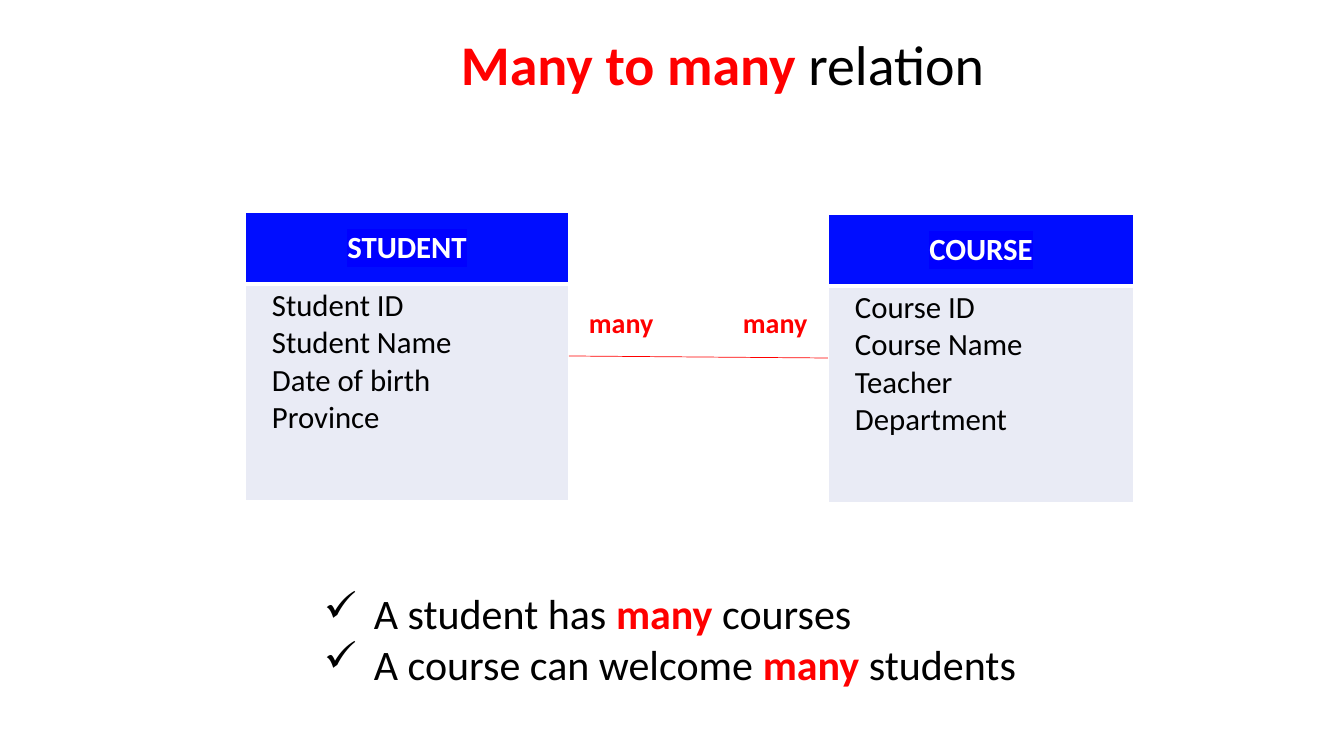
from dataclasses import dataclass

from lxml.etree import SubElement
from pptx import Presentation
from pptx.dml.color import RGBColor
from pptx.enum.shapes import MSO_CONNECTOR
from pptx.enum.text import MSO_ANCHOR, MSO_AUTO_SIZE, PP_ALIGN
from pptx.oxml.ns import qn
from pptx.util import Pt

EMU_PER_PX = 914400 / 100.8


@dataclass(frozen=True)
class Theme:
    font: str = "Calibri"
    black: str = "000000"
    white: str = "FFFFFF"
    red: str = "FF0000"
    header: str = "000DFF"
    highlight: str = "0000FF"
    body: str = "E9EBF5"
    title_size: int = 40
    rule_size: int = 30
    entity_size: int = 22
    label_size: int = 20


THEME = Theme()


def px(length):
    return round(length * EMU_PER_PX)


def add_color(parent, color):
    SubElement(parent, qn("a:srgbClr"), val=color)


# Text: each paragraph is a list of pieces; a piece in a tuple is emphasised
def write_text(frame, paragraphs, *, size, color=THEME.black, bold=False,
               align=PP_ALIGN.LEFT, highlight=None, bullet=None, indent=0):
    for number, pieces in enumerate(paragraphs):
        paragraph = frame.add_paragraph() if number else frame.paragraphs[0]
        paragraph.alignment = align
        if bullet:
            properties = paragraph._p.get_or_add_pPr()
            properties.set("marL", str(px(indent)))
            properties.set("indent", str(-px(indent)))
            SubElement(properties, qn("a:buChar"), char=bullet)
        for piece in pieces:
            emphasised = isinstance(piece, tuple)
            run = paragraph.add_run()
            run.text = piece[0] if emphasised else piece
            font = run.font
            font.size = Pt(size)
            font.bold = bold or emphasised
            font.color.rgb = RGBColor.from_string(THEME.red if emphasised else color)
            if highlight:
                mark = SubElement(run._r.rPr, qn("a:highlight"))
                add_color(mark, highlight)
            font.name = THEME.font


def add_text_box(slide, left, top, width, height, paragraphs, **text_format):
    box = slide.shapes.add_textbox(px(left), px(top), px(width), px(height))
    box.text_frame.word_wrap = True
    box.text_frame.auto_size = MSO_AUTO_SIZE.SHAPE_TO_FIT_TEXT
    write_text(box.text_frame, paragraphs, **text_format)


# Entity tables
def style_cell(cell, fill, inset_left, **border_widths):
    properties = cell._tc.get_or_add_tcPr()
    for side in ("L", "R", "T", "B"):
        width = Pt(border_widths.get(side, 1))
        border = SubElement(properties, qn(f"a:ln{side}"), w=str(width))
        add_color(SubElement(border, qn("a:solidFill")), THEME.white)
    cell.fill.solid()
    cell.fill.fore_color.rgb = RGBColor.from_string(fill)
    cell.margin_left, cell.margin_right = px(inset_left), px(7)
    cell.margin_top = cell.margin_bottom = px(3)


def add_entity(slide, left, top, width, name, attributes):
    row_heights = (72, 217)
    table = slide.shapes.add_table(2, 1, px(left), px(top), px(width),
                                   px(sum(row_heights))).table
    table.horz_banding = False
    table.columns[0].width = px(width)
    for row, height in zip(table.rows, row_heights):
        row.height = px(height)

    header, body = table.cell(0, 0), table.cell(1, 0)
    style_cell(header, THEME.header, 7, B=3)
    header.vertical_anchor = MSO_ANCHOR.MIDDLE
    write_text(header.text_frame, [[name]], size=THEME.entity_size, bold=True,
               color=THEME.white, align=PP_ALIGN.CENTER, highlight=THEME.highlight)
    style_cell(body, THEME.body, 27, T=3)
    write_text(body.text_frame, [[attribute] for attribute in attributes],
               size=THEME.entity_size)


# Relation line
def add_relation(slide, start, end):
    relation = slide.shapes.add_connector(
        MSO_CONNECTOR.STRAIGHT, *map(px, start), *map(px, end))
    relation.line.color.rgb = RGBColor.from_string(THEME.red)
    relation.line.width = Pt(0.5)
    SubElement(relation._element.spPr, qn("a:effectLst"))


def main():
    deck = Presentation()
    deck.slide_width, deck.slide_height = px(1344), px(756)
    slide = deck.slides.add_slide(deck.slide_layouts[6])

    # Title
    add_text_box(slide, 436, 25, 573, 78, [[("Many to many ",), "relation"]],
                 size=THEME.title_size, align=PP_ALIGN.CENTER)

    # Entities and their relation
    add_entity(slide, 245, 212, 324, "STUDENT",
               ["Student ID", "Student Name", "Date of birth", "Province"])
    add_entity(slide, 828, 214, 306, "COURSE",
               ["Course ID", "Course Name", "Teacher", "Department"])
    add_relation(slide, (569, 356), (828, 358))
    for left in (579, 733):
        add_text_box(slide, left, 301, 95, 44, [[("many",)]], size=THEME.label_size)

    # Rules
    add_text_box(slide, 314, 583, 1000, 112,
                 [["A student has ", ("many ",), "courses"],
                  ["A course can welcome ", ("many ",), "students"]],
                 size=THEME.rule_size, bullet="✓", indent=50)

    deck.save("out.pptx")


main()
